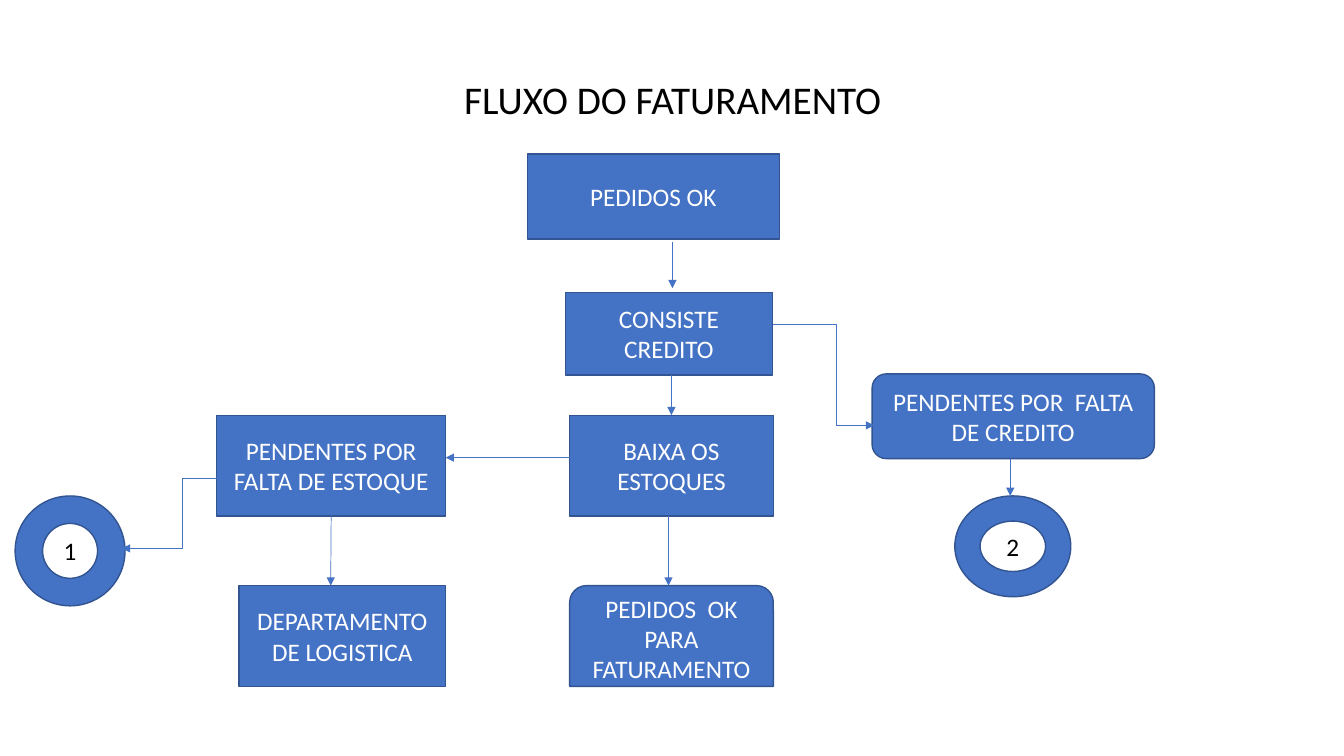
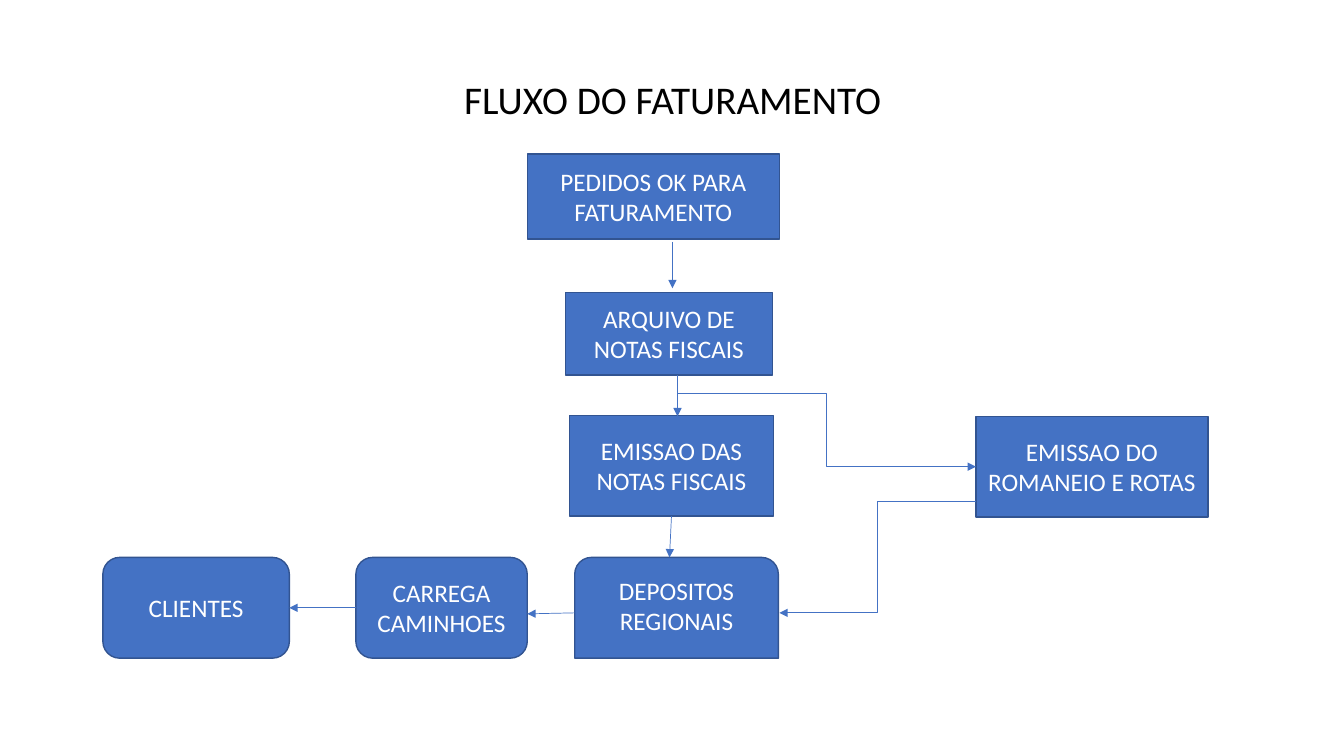
from dataclasses import dataclass

from lxml import etree
from pptx import Presentation
from pptx.dml.color import RGBColor
from pptx.enum import shapes, text
from pptx.oxml.ns import qn
from pptx.util import Inches, Pt


@dataclass(frozen=True)
class Theme:
    font: str = "Calibri"
    fill: RGBColor = RGBColor(0x44, 0x72, 0xC4)
    edge: RGBColor = RGBColor(0x32, 0x54, 0x91)
    dark: RGBColor = RGBColor(0, 0, 0)
    light: RGBColor = RGBColor(255, 255, 255)
    title_size: Pt = Pt(28)
    body_size: Pt = Pt(18)
    edge_width: Pt = Pt(1)
    arrow_width: Pt = Pt(0.5)


T = Theme()
RECT = shapes.MSO_SHAPE.RECTANGLE
ROUND = shapes.MSO_SHAPE.ROUNDED_RECTANGLE
ROUND_TOP = shapes.MSO_SHAPE.ROUND_2_SAME_RECTANGLE
DONUT = shapes.MSO_SHAPE.DONUT
TOP, LEFT, BOTTOM, RIGHT = range(4)


def set_text(sp, words, size, color, anchor):
    tf = sp.text_frame
    tf.word_wrap = True
    tf.vertical_anchor = anchor
    tf.text = words
    p = tf.paragraphs[0]
    p.alignment = text.PP_ALIGN.CENTER
    for r in p.runs:
        r.font.name = T.font
        r.font.size = size
        r.font.color.rgb = color
    return p


# Boxes: name -> (shape, left, top, width, height, words)
# Arrows: (from, to, joined start, joined end, bend position);
# a bend of None makes a straight arrow, a joint is (box name, side)
slides = [
    {
        "boxes": {
            "pedidos": (RECT, 5.23, 1.53, 2.5, 0.84, "PEDIDOS OK"),
            "credito": (RECT, 5.61, 2.9, 2.05, 0.82, "CONSISTE CREDITO"),
            "sem_credito": (ROUND, 8.65, 3.71, 2.8, 0.84, "PENDENTES POR  FALTA DE CREDITO"),
            "estoques": (RECT, 5.65, 4.12, 2.02, 1, "BAIXA OS ESTOQUES"),
            "saida_2": (DONUT, 9.47, 4.92, 1.15, 1, "2"),
            "sem_estoque": (RECT, 2.15, 4.12, 2.27, 1, "PENDENTES POR FALTA DE ESTOQUE"),
            "logistica": (RECT, 2.37, 5.81, 2.05, 1, "DEPARTAMENTO DE LOGISTICA"),
            "saida_1": (DONUT, 0.15, 4.92, 1.09, 1.09, "1"),
            "faturamento": (ROUND_TOP, 5.65, 5.81, 2.02, 1, "PEDIDOS  OK PARA FATURAMENTO"),
        },
        "arrows": [
            ((6.67, 2.4), (6.67, 2.86), None, None, None),
            ((6.66, 3.72), (6.66, 4.12), None, ("estoques", TOP), None),
            ((7.67, 3.22), (8.67, 4.22), None, None, 0.63),
            ((10.02, 4.55), (10.02, 4.92), None, None, None),
            ((5.65, 4.54), (4.42, 4.54), None, None, None),
            ((3.28, 5.12), (3.28, 5.81), ("sem_estoque", BOTTOM), None, None),
            ((2.15, 4.75), (1.21, 5.44), None, None, 0.36),
            ((6.63, 5.12), (6.63, 5.81), None, None, None),
        ],
    },
    {
        "boxes": {
            "pedidos": (RECT, 5.23, 1.53, 2.5, 0.84, "PEDIDOS OK PARA FATURAMENTO"),
            "arquivo": (RECT, 5.61, 2.9, 2.05, 0.82, "ARQUIVO DE NOTAS FISCAIS"),
            "notas": (RECT, 5.65, 4.12, 2.02, 1, "EMISSAO DAS NOTAS FISCAIS"),
            "depositos": (ROUND_TOP, 5.7, 5.53, 2.02, 1, "DEPOSITOS REGIONAIS"),
            "romaneio": (RECT, 9.68, 4.13, 2.3, 1, "EMISSAO DO ROMANEIO E ROTAS"),
            "carga": (ROUND, 3.53, 5.53, 1.7, 1, "CARREGA CAMINHOES"),
            "clientes": (ROUND, 1.02, 5.53, 1.85, 1, "CLIENTES"),
        },
        "arrows": [
            ((6.67, 2.4), (6.67, 2.86), None, None, None),
            ((6.72, 3.72), (6.72, 4.13), None, None, None),
            ((6.72, 3.9), (9.68, 4.63), None, ("romaneio", LEFT), 0.5),
            ((6.66, 5.12), (6.64, 5.53), ("notas", BOTTOM), None, None),
            ((9.68, 4.97), (7.73, 6.08), None, None, 0.5),
            ((5.7, 6.08), (5.23, 6.09), None, None, None),
            ((3.53, 6.03), (2.87, 6.03), ("carga", LEFT), ("clientes", RIGHT), None),
        ],
    },
]

prs = Presentation()
prs.slide_width = Inches(13.33)
prs.slide_height = Inches(7.5)

for flow in slides:
    s = prs.slides.add_slide(prs.slide_layouts[6])

    # Title
    title = s.shapes.add_textbox(Inches(1.67), Inches(0.58), Inches(10), Inches(0.69))
    p = set_text(title, "FLUXO DO FATURAMENTO", T.title_size, T.dark, text.MSO_ANCHOR.BOTTOM)
    p.line_spacing = 0.9

    # Boxes
    boxes = {}
    for name, (kind, left, top, width, height, words) in flow["boxes"].items():
        sp = s.shapes.add_shape(kind, Inches(left), Inches(top), Inches(width), Inches(height))
        sp.shadow.inherit = False
        sp.fill.solid()
        sp.fill.fore_color.rgb = T.fill
        sp.line.color.rgb = T.edge
        sp.line.width = T.edge_width
        color = T.dark if kind == DONUT else T.light
        set_text(sp, words, T.body_size, color, text.MSO_ANCHOR.MIDDLE)
        boxes[name] = sp
    if "depositos" in boxes:
        boxes["depositos"].text_frame.margin_bottom = Inches(0.14)

    # Arrows
    for start, end, start_joint, end_joint, bend in flow["arrows"]:
        kind = shapes.MSO_CONNECTOR.STRAIGHT if bend is None else shapes.MSO_CONNECTOR.ELBOW
        arrow = s.shapes.add_connector(kind, *map(Inches, start + end))
        if start_joint:
            arrow.begin_connect(boxes[start_joint[0]], start_joint[1])
        if end_joint:
            arrow.end_connect(boxes[end_joint[0]], end_joint[1])
        arrow.line.color.rgb = T.fill
        arrow.line.width = T.arrow_width
        props = arrow._element.spPr
        etree.SubElement(props.find(qn("a:ln")), qn("a:tailEnd"), type="triangle")
        etree.SubElement(props, qn("a:effectLst"))
        if bend is not None:
            guides = props.find(qn("a:prstGeom")).get_or_add_avLst()
            etree.SubElement(guides, qn("a:gd"), name="adj1", fmla=f"val {round(bend * 100000)}")

prs.save("out.pptx")
